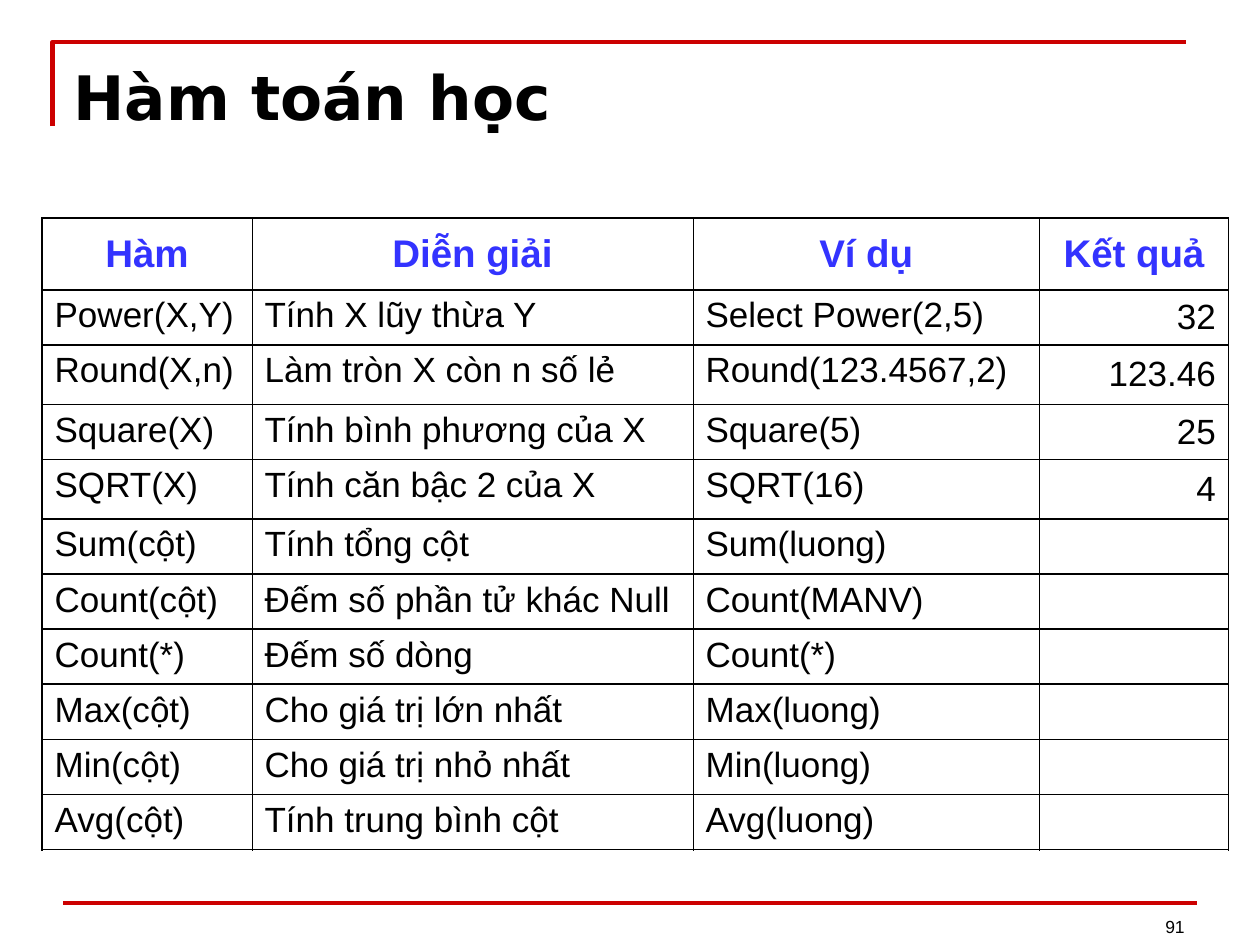
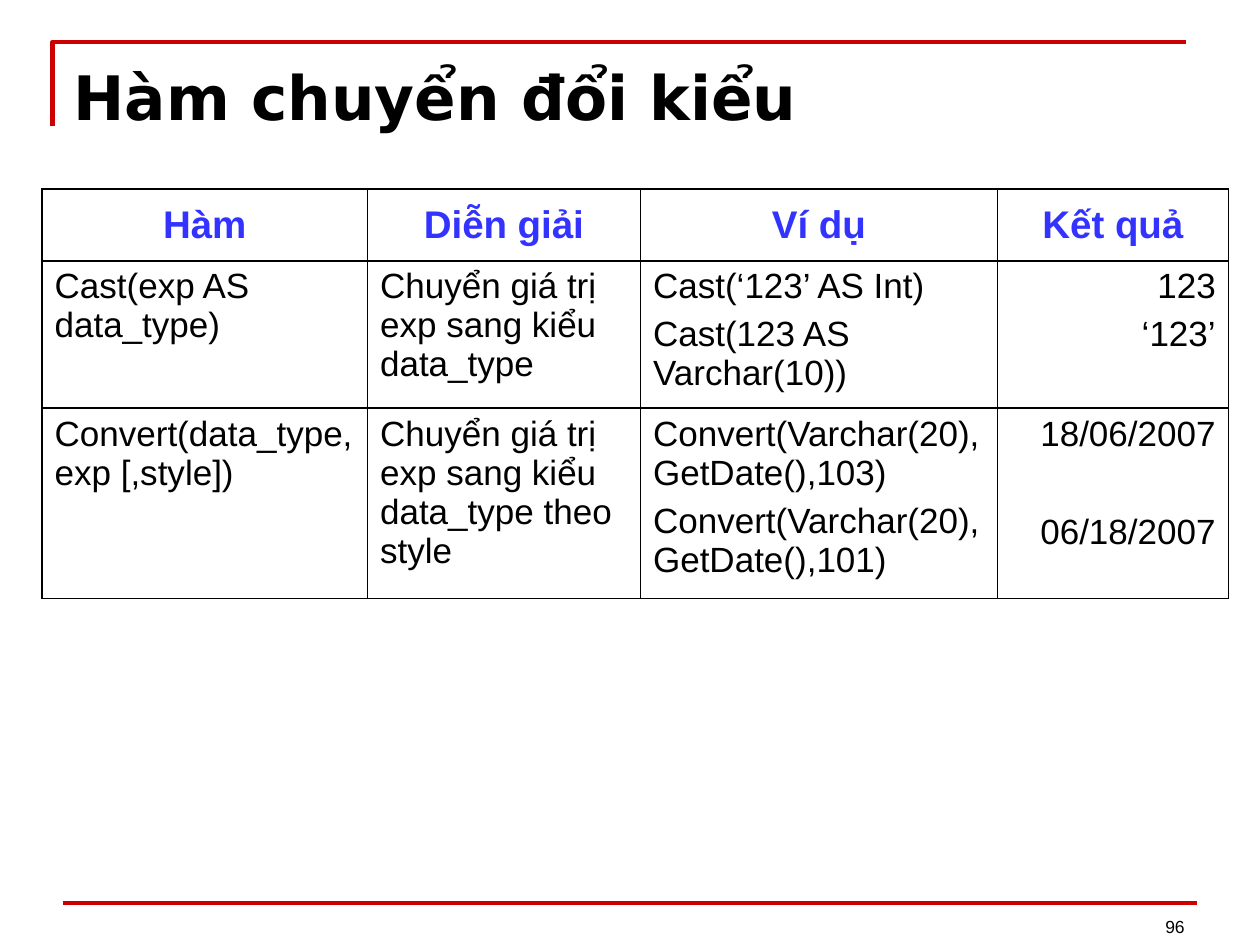
from dataclasses import dataclass

from lxml import etree
from pptx import Presentation
from pptx.dml.color import RGBColor
from pptx.enum.shapes import MSO_CONNECTOR
from pptx.enum.text import MSO_ANCHOR, PP_ALIGN
from pptx.oxml.ns import qn
from pptx.util import Pt

LEFT, CENTER, RIGHT, JUSTIFY = PP_ALIGN.LEFT, PP_ALIGN.CENTER, PP_ALIGN.RIGHT, PP_ALIGN.JUSTIFY
TOP, MIDDLE, BOTTOM = MSO_ANCHOR.TOP, MSO_ANCHOR.MIDDLE, MSO_ANCHOR.BOTTOM
STRAIGHT = MSO_CONNECTOR.STRAIGHT
TITLE_ONLY = 5


@dataclass(frozen=True)
class Theme:
    accent: str = "CC0000"
    heading: str = "3333FF"
    ink: str = "000000"
    title_font: str = "DejaVu Sans"
    body_font: str = "Arial"
    title_size: float = 35
    heading_size: float = 22
    body_size: float = 20
    number_size: float = 10
    bracket_width: float = 2.5
    footer_width: float = 2
    thick_border: float = 1.08
    thin_border: float = 0.45
    para_gap: float = 5


THEME = Theme()
HEADINGS = ("Hàm", "Diễn giải", "Ví dụ", "Kết quả")
MATH_ROWS = (
    ("Power(X,Y)", "Tính X lũy thừa Y", "Select Power(2,5)", "32"),
    ("Round(X,n)", "Làm tròn X còn n số lẻ", "Round(123.4567,2)", "123.46"),
    ("Square(X)", "Tính bình phương của X", "Square(5)", "25"),
    ("SQRT(X)", "Tính căn bậc 2 của X", "SQRT(16)", "4"),
    ("Sum(cột)", "Tính tổng cột", "Sum(luong)", ""),
    ("Count(cột)", "Đếm số phần tử khác Null", "Count(MANV)", ""),
    ("Count(*)", "Đếm số dòng", "Count(*)", ""),
    ("Max(cột)", "Cho giá trị lớn nhất", "Max(luong)", ""),
    ("Min(cột)", "Cho giá trị nhỏ nhất", "Min(luong)", ""),
    ("Avg(cột)", "Tính trung bình cột", "Avg(luong)", ""),
)
CONVERSION_ROWS = (
    ("Cast(exp AS data_type)", "Chuyển giá trị exp sang kiểu data_type",
     "Cast(‘123’ AS Int)\nCast(123 AS Varchar(10))", "123\n‘123’"),
    ("Convert(data_type,exp [,style])", "Chuyển giá trị exp sang kiểu data_type theo style",
     "Convert(Varchar(20),GetDate(),103)\nConvert(Varchar(20),GetDate(),101)",
     "18/06/2007\n06/18/2007"),
)


def write_text(frame, text, *, size, font=THEME.body_font, color=THEME.ink,
               bold=False, align=LEFT, gap=0):
    for index, line in enumerate(text.split("\n")):
        para = frame.add_paragraph() if index else frame.paragraphs[0]
        para.alignment = align
        para.space_before = Pt(gap if index else 0)
        span = para.add_run()
        span.text = line
        span.font.name = font
        span.font.size = Pt(size)
        span.font.bold = bold
        span.font.color.rgb = RGBColor.from_string(color)


def add_header(page, title, left, top, width):
    builder = page.shapes.build_freeform(Pt(left), Pt(top + 48))
    builder.add_line_segments(((Pt(left), Pt(top)), (Pt(left + width), Pt(top))), close=False)
    bracket = builder.convert_to_shape()
    bracket.fill.background()
    bracket.shadow.inherit = False
    bracket.line.color.rgb = RGBColor.from_string(THEME.accent)
    bracket.line.width = Pt(THEME.bracket_width)

    box = page.shapes.title
    box.left, box.top, box.width, box.height = Pt(left + 6), Pt(top + 4), Pt(width), Pt(62)
    frame = box.text_frame
    frame.word_wrap = True
    frame.vertical_anchor = TOP
    frame.margin_left = frame.margin_top = Pt(6)
    write_text(frame, title, size=THEME.title_size, font=THEME.title_font, bold=True)


def add_footer(page, number, left, top, width):
    rule = page.shapes.add_connector(STRAIGHT, Pt(left), Pt(top), Pt(left + width), Pt(top))
    rule.line.color.rgb = RGBColor.from_string(THEME.accent)
    rule.line.width = Pt(THEME.footer_width)
    etree.SubElement(rule.line._get_or_add_ln().getparent(), qn("a:effectLst"))

    box = page.shapes.add_textbox(Pt(left + width - 168), Pt(top - 13), Pt(168), Pt(36))
    box.text_frame.word_wrap = True
    box.text_frame.vertical_anchor = BOTTOM
    write_text(box.text_frame, str(number), size=THEME.number_size, align=RIGHT)


def set_borders(cell, first, last):
    properties = cell._tc.get_or_add_tcPr()
    widths = {
        "lnL": THEME.thick_border if first else THEME.thin_border,
        "lnR": THEME.thick_border if last else THEME.thin_border,
        "lnT": THEME.thick_border,
        "lnB": THEME.thick_border,
    }
    for side, width in widths.items():
        line = etree.SubElement(properties, qn(f"a:{side}"), w=str(Pt(width)))
        fill = etree.SubElement(line, qn("a:solidFill"))
        etree.SubElement(fill, qn("a:srgbClr"), val=THEME.ink)


def add_function_table(page, rows, left, top, widths, heights, result_anchor):
    table = page.shapes.add_table(
        len(heights), len(widths), Pt(left), Pt(top), Pt(sum(widths)), Pt(sum(heights))).table
    table.first_row = table.horz_banding = False
    for column, width in zip(table.columns, widths):
        column.width = Pt(width)
    for row, height in zip(table.rows, heights):
        row.height = Pt(height)
    last = len(widths) - 1
    for row_index, texts in enumerate((HEADINGS, *rows)):
        for index, text in enumerate(texts):
            cell = table.cell(row_index, index)
            set_borders(cell, index == 0, index == last)
            cell.fill.background()
            if row_index == 0:
                cell.vertical_anchor = MIDDLE
                write_text(cell.text_frame, text, size=THEME.heading_size,
                           color=THEME.heading, bold=True, align=CENTER)
            elif text:
                cell.vertical_anchor = result_anchor if index == last else TOP
                write_text(cell.text_frame, text, size=THEME.body_size,
                           align=RIGHT if index == last else LEFT, gap=THEME.para_gap)
    return table


def add_page(deck, title, number):
    page = deck.slides.add_slide(deck.slide_layouts[TITLE_ONLY])
    add_header(page, title, left=30, top=24, width=648)
    add_footer(page, number, left=36, top=516, width=648)
    return page


def add_math_page(deck):
    page = add_page(deck, "Hàm toán học", 91)
    heights = (41, 31.5, 34, 31.5, 34) + (31.5,) * 6
    add_function_table(page, MATH_ROWS, 24, 124.6, (120, 252, 198, 108), heights, MIDDLE)


def add_conversion_page(deck):
    page = add_page(deck, "Hàm chuyển đổi kiểu", 96)
    table = add_function_table(
        page, CONVERSION_ROWS, 24, 108, (186, 156, 204, 132), (41, 84.3, 108.7), TOP)
    table.cell(2, 0).text_frame.paragraphs[0].alignment = JUSTIFY
    table.cell(2, 3).text_frame.paragraphs[1].space_before = Pt(34)


def main():
    deck = Presentation()
    deck.slide_width, deck.slide_height = Pt(720), Pt(540)
    add_math_page(deck)
    add_conversion_page(deck)
    deck.save("out.pptx")


if __name__ == "__main__":
    main()
